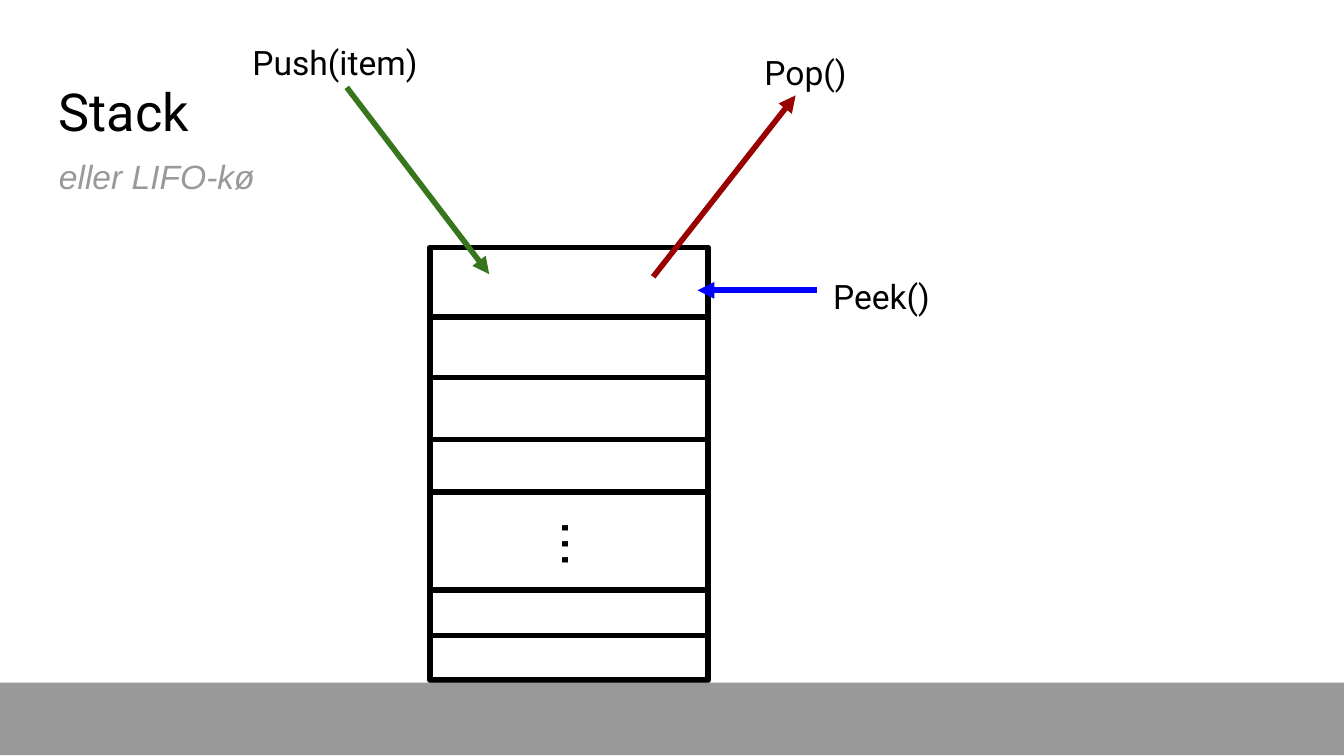
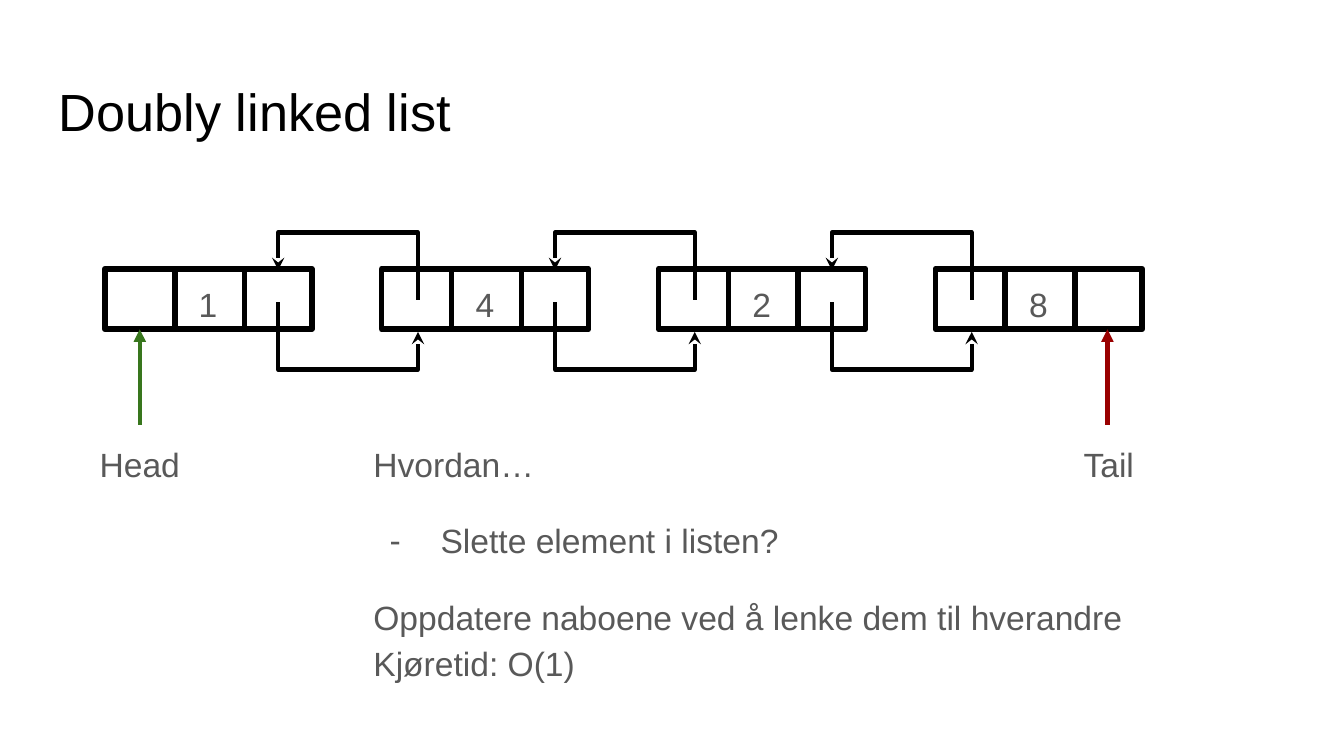
from lxml import etree
from pptx import Presentation
from pptx.dml.color import RGBColor
from pptx.enum.shapes import MSO_CONNECTOR, MSO_SHAPE
from pptx.enum.text import MSO_ANCHOR, PP_ALIGN
from pptx.oxml.ns import qn
from pptx.util import Inches, Pt

STRAIGHT = MSO_CONNECTOR.STRAIGHT
RECTANGLE = MSO_SHAPE.RECTANGLE
TOP = MSO_ANCHOR.TOP
LEFT, CENTER = PP_ALIGN.LEFT, PP_ALIGN.CENTER

COLORS = {
    "black": "000000",
    "gray": "999999",
    "body": "595959",
    "green": "38761D",
    "red": "990000",
    "blue": "0000FF",
}
TITLE_BOX = (0.34, 0.49, 9.32, 0.63)


def write(slide, box, *texts, size=18, font="Arial", color="body", italic=False,
          align=LEFT, spacing=1.15, rotation=0, dashed=()):
    """Add a text box with one paragraph per text; dashed holds the indexes of list items."""
    holder = slide.shapes.add_textbox(*map(Inches, box))
    holder.rotation = rotation
    frame = holder.text_frame
    frame.word_wrap = True
    frame.vertical_anchor = TOP
    frame.margin_left = frame.margin_right = Inches(0.1)
    frame.margin_top = frame.margin_bottom = Inches(0.1)
    for index, text in enumerate(texts):
        paragraph = frame.paragraphs[0] if index == 0 else frame.add_paragraph()
        paragraph.text = text
        paragraph.alignment = align
        paragraph.line_spacing = spacing
        if index:
            paragraph.space_before = Pt(16)
        if index in dashed:
            properties = paragraph._p.get_or_add_pPr()
            properties.set("marL", str(Inches(0.5)))
            properties.set("indent", str(Inches(-0.38)))
            bullet_color = etree.SubElement(properties, qn("a:buClr"))
            etree.SubElement(bullet_color, qn("a:srgbClr"), val=COLORS[color])
            etree.SubElement(properties, qn("a:buFont"), typeface=font)
            etree.SubElement(properties, qn("a:buChar"), char="-")
        for run in paragraph.runs:
            run.font.name = font
            run.font.size = Pt(size)
            run.font.italic = italic
            run.font.color.rgb = RGBColor.from_string(COLORS[color])


def outline(shape, color="black", width=3, arrow=None):
    """Give a shape or connector a round-joined line, an optional arrowhead and no shadow."""
    shape.line.color.rgb = RGBColor.from_string(COLORS[color])
    shape.line.width = Pt(width)
    line = shape.line._get_or_add_ln()
    etree.SubElement(line, qn("a:round"))
    if arrow:
        etree.SubElement(line, qn("a:tailEnd"), type=arrow)
    etree.SubElement(shape._element.spPr, qn("a:effectLst"))


prs = Presentation()
prs.slide_width = Inches(10)
prs.slide_height = prs.slide_width * 9 // 16
blank = prs.slide_layouts[6]

# Slide 1: stack
slide = prs.slides.add_slide(blank)
write(slide, TITLE_BOX, "Stack", size=28, font="Roboto", color="black", spacing=1)
write(slide, (0.34, 1.06, 2.24, 0.63), "eller LIFO-kø", color="gray", italic=True, spacing=1)

stack = slide.shapes.add_shape(RECTANGLE, *map(Inches, (3.2, 1.84, 2.07, 3.22)))
stack.fill.background()
outline(stack)
for y in (2.36, 2.81, 3.27, 3.66, 4.39, 4.73):
    outline(slide.shapes.add_connector(STRAIGHT, *map(Inches, (3.2, y, 5.28, y))))
write(slide, (3.9, 3.78, 1.06, 0.54), "...", size=30, color="black", align=CENTER,
      spacing=1, rotation=90)

operations = [
    ("Push(item)", (1.78, 0.17, 1.51, 0.48), "green", (2.58, 0.65, 3.64, 2.04)),
    ("Pop()", (5.59, 0.24, 0.9, 0.48), "red", (4.86, 2.06, 5.92, 0.71)),
    ("Peek()", (6.1, 1.91, 1.12, 0.48), "blue", (6.08, 2.16, 5.19, 2.16)),
]
for operation, label_box, color, ends in operations:
    outline(slide.shapes.add_connector(STRAIGHT, *map(Inches, ends)), color, arrow="triangle")
    write(slide, label_box, operation, font="Roboto", color="black")

ground = slide.shapes.add_shape(RECTANGLE, *map(Inches, (0, 5.08, 10, 0.54)))
ground.shadow.inherit = False
ground.fill.solid()
ground.fill.fore_color.rgb = RGBColor.from_string(COLORS["gray"])
ground.line.fill.background()

# Slide 2: doubly linked list
slide = prs.slides.add_slide(blank)
write(slide, TITLE_BOX, "Doubly linked list", size=28, color="black", spacing=1)

NODE_TOP, NODE_BOTTOM = 2, 2.45
CELL = 0.52
values = ["1", "4", "2", "8"]
node_lefts = [0.78 + 2.06 * i for i in range(len(values))]
for value, left in zip(values, node_lefts):
    node = slide.shapes.add_shape(
        RECTANGLE, *map(Inches, (left, NODE_TOP, 1.54, NODE_BOTTOM - NODE_TOP)))
    node.fill.background()
    outline(node)
    for x in (left + CELL, left + 2 * CELL):
        outline(slide.shapes.add_connector(
            STRAIGHT, *map(Inches, (x, NODE_TOP, x, NODE_BOTTOM))))
    write(slide, (left + 0.6, 1.97, 0.36, 0.52), value)

for left in node_lefts[:-1]:
    this_next, other_prev = left + 1.29, left + 2.33
    links = [
        (this_next, other_prev, 2.25, 2.75, 2.47),
        (other_prev, this_next, 2.23, 1.73, 2.01),
    ]
    for start_x, end_x, start_y, turn_y, end_y in links:
        builder = slide.shapes.build_freeform(Inches(start_x), Inches(start_y))
        corners = [(start_x, turn_y), (end_x, turn_y), (end_x, end_y)]
        builder.add_line_segments([(Inches(x), Inches(y)) for x, y in corners], close=False)
        link = builder.convert_to_shape()
        link.fill.background()
        outline(link, width=2.25, arrow="stealth")

for name, x, label_left, color in [("Head", 1.04, 0.6, "green"), ("Tail", 8.24, 7.81, "red")]:
    pointer = slide.shapes.add_connector(STRAIGHT, *map(Inches, (x, 3.16, x, NODE_BOTTOM)))
    outline(pointer, color, 2.25, "triangle")
    write(slide, (label_left, 3.16, 0.88, 0.48), name, align=CENTER)

write(slide, (2.68, 3.16, 6.21, 1.92),
      "Hvordan…",
      "Slette element i listen?",
      "Oppdatere naboene ved å lenke dem til hverandre\vKjøretid: O(1)",
      dashed=(1,))

prs.save("out.pptx")
